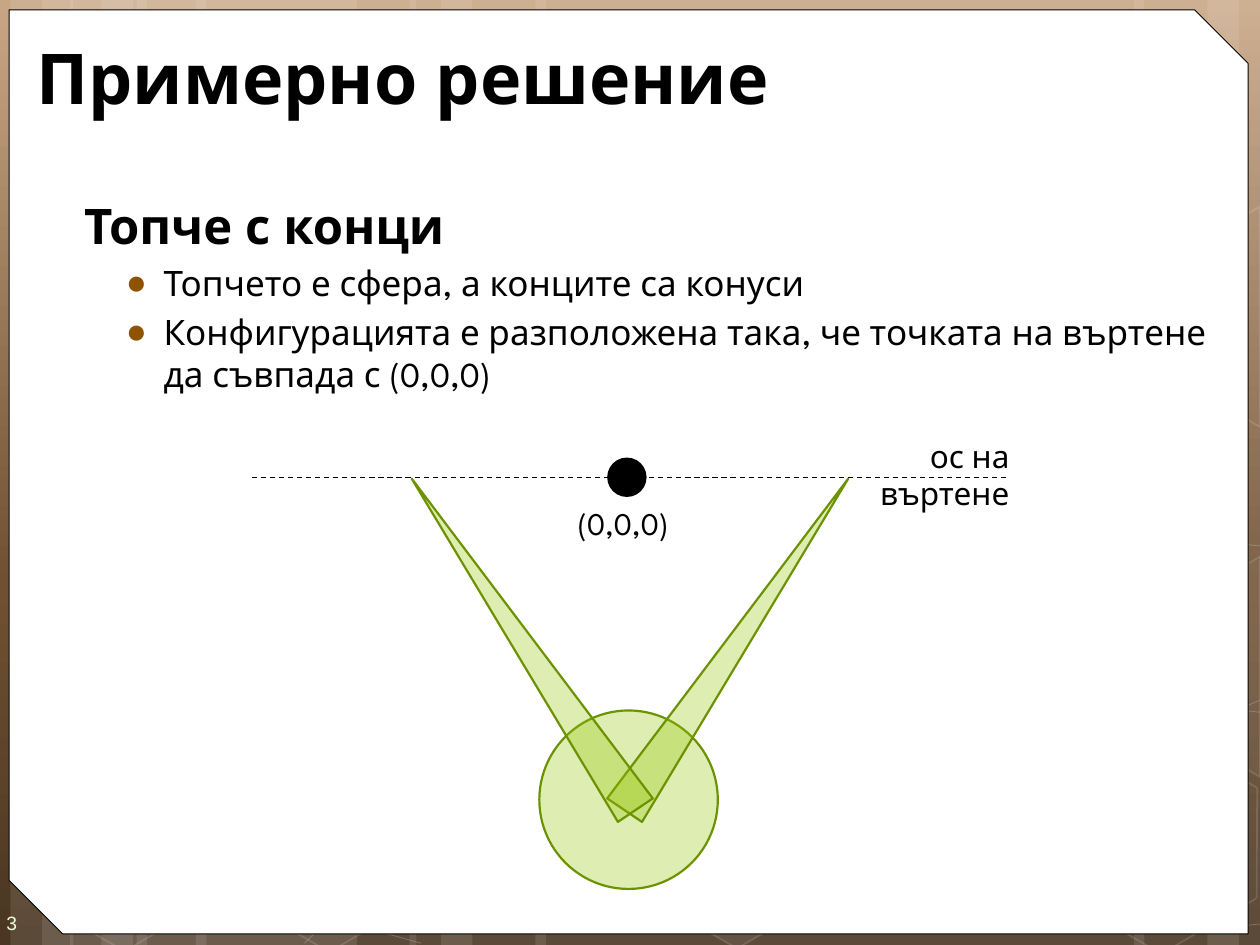
from copy import deepcopy
from lxml.etree import SubElement
from pptx import Presentation
from pptx.dml.color import RGBColor
from pptx.enum.dml import MSO_LINE
from pptx.enum.shapes import MSO_CONNECTOR, MSO_SHAPE
from pptx.enum.text import MSO_ANCHOR, PP_ALIGN
from pptx.oxml.ns import qn
from pptx.util import Pt

WHITE = RGBColor(255, 255, 255)
BLACK = RGBColor(0, 0, 0)
LIME = RGBColor(0x94, 0xC6, 0x00)
GREEN = RGBColor(0x6D, 0x92, 0x00)
PALE = RGBColor(0xEE, 0xFF, 0xD6)
BROWN = RGBColor(0x8F, 0x52, 0x01)
SKY = [(0, RGBColor(0xC8, 0xA6, 0x85)), (0.62, RGBColor(0x70, 0x50, 0x32)),
       (1, RGBColor(0x4A, 0x36, 0x22))]
FONT = "League Spartan"

BARS = [(78, 126), (6, 36), (24, 60), (112, 126), (40, 36), (58, 60),
        (528, 126), (690, 36), (648, 60), (306, 222), (234, 36), (252, 60)]
CELLS = [(8, 425.5, 0), (125, 426, 0), (358, 424, 6), (600.5, 427, 0)]
EDGES = [([(667, 349), (720, 318), (720, 444), (667, 412.5)], 4),
         ([(667, 149), (720, 118), (720, 244), (667, 212.5)], 0)]
RAYS = [((212, 531), (240.5, 539)), ((174, 539), (182, 531)),
        ((711, 406), (720, 407)), ((711, 311), (720, 312)),
        ((711, 404), (720, 400)), ((711, 529), (720, 528))]


def fade(fill, pct):
    tone = fill.find(".//" + qn("a:srgbClr"))
    SubElement(tone, qn("a:alpha"), val=str(pct * 1000))


def paint(shape, color, clear=100, edge=None, width=1, soft=100):
    shape.shadow.inherit = False
    props = shape._element.spPr
    if clear:
        shape.fill.solid()
        shape.fill.fore_color.rgb = color
        if clear < 100:
            fade(props.find(qn("a:solidFill")), clear)
    else:
        shape.fill.background()
    if edge is None:
        shape.line.fill.background()
        return
    shape.line.color.rgb = edge
    shape.line.width = Pt(width)
    if soft < 100:
        fade(props.find(qn("a:ln")), soft)


def add_form(slide, kind, box, turn=0):
    shape = slide.shapes.add_shape(kind, *map(Pt, box))
    shape.rotation = turn
    return shape


def add_line(slide, start, end, color, width, soft=100):
    line = slide.shapes.add_connector(
        MSO_CONNECTOR.STRAIGHT, *map(Pt, start + end))
    line.line.color.rgb = color
    line.line.width = Pt(width)
    props = line._element.spPr
    if soft < 100:
        fade(props.find(qn("a:ln")), soft)
    SubElement(props, qn("a:effectLst"))
    return line


def add_run(para, text, size, color=BLACK, bold=False, font=FONT):
    run = para.add_run()
    run.text = text
    run.font.name = font
    run.font.size = Pt(size)
    run.font.bold = bold
    run.font.color.rgb = color


def add_box(slide, box):
    frame = slide.shapes.add_textbox(*map(Pt, box)).text_frame
    frame.word_wrap = True
    return frame


def indent(para, left, size, hang=0):
    para.space_before = Pt(size * 0.2)
    props = para._p.get_or_add_pPr()
    props.set("marL", str(Pt(left)))
    props.set("indent", str(Pt(hang)))
    return props


def add_point(frame, text):
    para = frame.add_paragraph()
    para.level = 1
    props = indent(para, 50.4, 20, -21.6)
    tone = SubElement(props, qn("a:buClr"))
    SubElement(tone, qn("a:srgbClr"), val=str(BROWN))
    SubElement(props, qn("a:buFont"), typeface="Arial")
    SubElement(props, qn("a:buChar"), char="●")
    add_run(para, text, 20)


def add_label(slide, box, text, align):
    para = add_box(slide, box).paragraphs[0]
    para.alignment = align
    indent(para, 5, 18)
    add_run(para, text, 18)


def set_back(slide):
    fill = slide.background.fill
    fill.gradient()
    fill.gradient_angle = 270
    stops = slide._element.find(".//" + qn("a:gsLst"))
    stops.append(deepcopy(stops[-1]))
    for stop, (place, color) in zip(fill.gradient_stops, SKY):
        stop.position = place
        stop.color.rgb = color


def add_decor(slide):
    for left, width in BARS:
        bar = add_form(slide, MSO_SHAPE.RECTANGLE, (left, 0, width, 540))
        paint(bar, WHITE, 10)
    for start, end in RAYS:
        add_line(slide, start, end, WHITE, 0.5, 20)
    for left, top, clear in CELLS:
        cell = add_form(slide, MSO_SHAPE.HEXAGON, (left, top, 126, 109.5), 30)
        cell.adjustments[0] = 0.285
        paint(cell, WHITE, clear, WHITE, 1, 12)
    for points, clear in EDGES:
        first, *rest = [(Pt(x), Pt(y)) for x, y in points]
        pen = slide.shapes.build_freeform(*first)
        pen.add_line_segments(rest)
        paint(pen.convert_to_shape(), WHITE, clear, WHITE, 1, 12)
    panel = add_form(slide, MSO_SHAPE.SNIP_2_DIAG_RECTANGLE,
                     (5.2, 5.6, 708, 528))
    panel.adjustments[0] = 0
    panel.adjustments[1] = 0.058
    paint(panel, WHITE, edge=BLACK, width=0.5)


def add_number(slide):
    frame = add_box(slide, (0, 511, 42, 29))
    frame.vertical_anchor = MSO_ANCHOR.MIDDLE
    frame.margin_left, frame.margin_right = Pt(3.6), Pt(0)
    frame.margin_top, frame.margin_bottom = Pt(10.8), Pt(7.2)
    add_run(frame.paragraphs[0], "3", 11, PALE, font="Arial")


def add_title(slide):
    title = slide.shapes.title
    title.left, title.top = Pt(13.7), Pt(18)
    title.width, title.height = Pt(682), Pt(51)
    frame = title.text_frame
    frame.vertical_anchor = MSO_ANCHOR.MIDDLE
    para = frame.paragraphs[0]
    para.alignment = PP_ALIGN.LEFT
    add_run(para, "Примерно решение", 40, bold=True)
    tree = slide.shapes._spTree
    tree.remove(title._element)
    tree.append(title._element)


def add_body(slide):
    frame = add_box(slide, (36, 108, 678, 426))
    head = frame.paragraphs[0]
    indent(head, 5, 28)
    add_run(head, "Топче с конци", 28, bold=True)
    add_point(frame, "Топчето е сфера, а конците са конуси")
    add_point(frame, "Конфигурацията е разположена така, че точката на "
                     "въртене да съвпада с (0,0,0)")


def add_model(slide):
    ball = add_form(slide, MSO_SHAPE.OVAL, (308.2, 406, 102, 102))
    cones = [add_form(slide, MSO_SHAPE.ISOSCELES_TRIANGLE,
                      (left, 254, 24, 228.5), turn)
             for left, turn in ((408.8, 34), (287.2, 326))]
    for shape in [ball, *cones]:
        paint(shape, LIME, 30, GREEN, 1.25)
    pivot = add_form(slide, MSO_SHAPE.OVAL, (347, 261.5, 22.5, 22.5))
    paint(pivot, BLACK)
    add_label(slide, (318, 284.5, 78, 29), "(0,0,0)", PP_ALIGN.LEFT)
    axis = add_line(slide, (144, 272.7), (576, 272.7), BLACK, 0.75)
    axis.line.dash_style = MSO_LINE.DASH
    add_label(slide, (476, 246, 108, 51), "ос на въртене", PP_ALIGN.RIGHT)


def main():
    deck = Presentation()
    deck.slide_width, deck.slide_height = Pt(720), Pt(540)
    slide = deck.slides.add_slide(deck.slide_layouts[5])
    set_back(slide)
    add_decor(slide)
    add_number(slide)
    add_title(slide)
    add_body(slide)
    add_model(slide)
    deck.save("out.pptx")


main()
